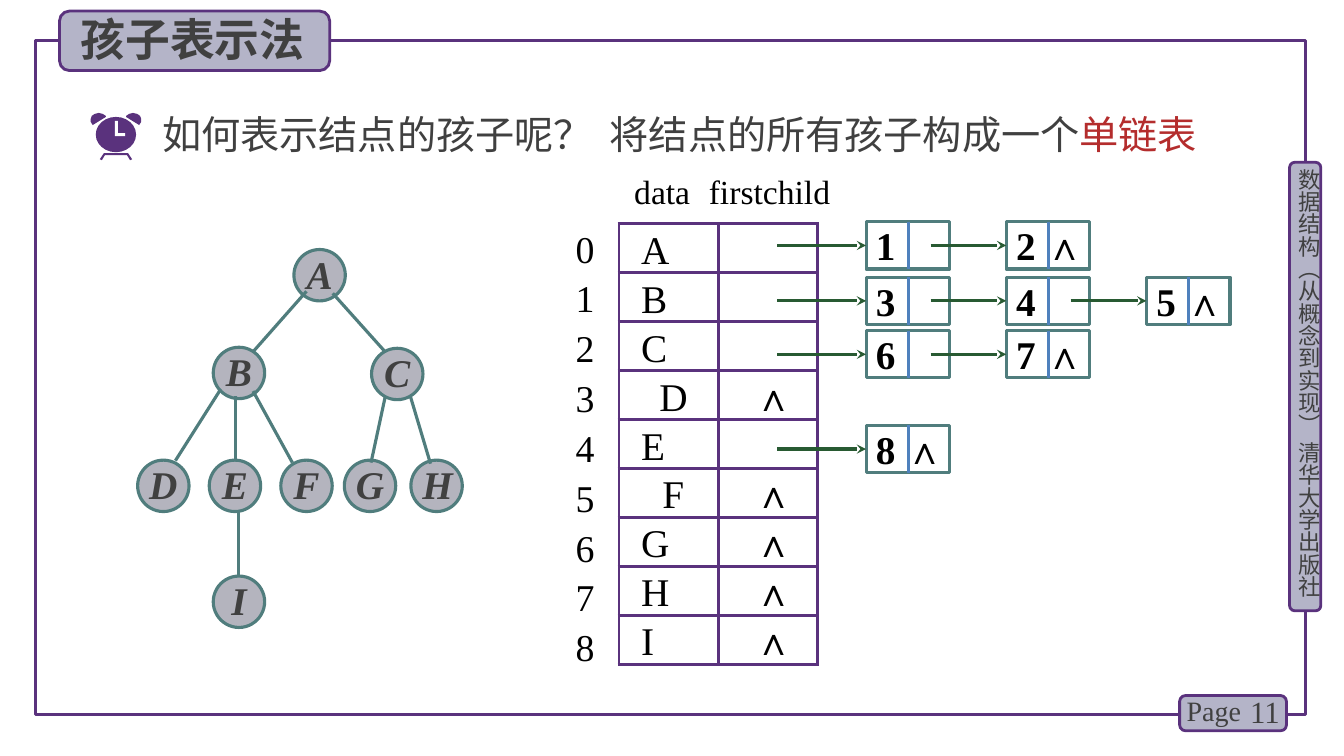
import pptx
import pptx.util
import pptx.dml.color
import pptx.enum.shapes
import pptx.enum.text
import pptx.oxml
import pptx.oxml.ns
from pptx.util import Inches, Pt

PURPLE, TAG_FILL, TEAL = "5A327D", "B4B4C8", "507D7D"
NODE_FILL, GREEN, BLUE = "B4B4BE", "285A32", "4F81BD"
GREY, BLACK, RED, WHITE = "404040", "000000", "B42D2D", "FFFFFF"
SERIF, CJK = "Times New Roman", "Noto Sans CJK SC"
SHAPE = pptx.enum.shapes.MSO_SHAPE
ALIGN = pptx.enum.text.PP_ALIGN
ANCHOR = pptx.enum.text.MSO_ANCHOR

# Tree: node centres, and edges as x1, y1, x2, y2
TREE_NODES = {"A": (3.17, 2.73), "B": (2.37, 3.7), "C": (3.94, 3.71),
              "D": (1.62, 4.82), "E": (2.33, 4.82), "F": (3.04, 4.82),
              "G": (3.67, 4.82), "H": (4.33, 4.82), "I": (2.37, 5.97)}
TREE_EDGES = [(3.04, 2.89, 2.51, 3.49), (3.3, 2.91, 3.82, 3.49),
              (2.19, 3.86, 1.74, 4.57), (2.34, 3.93, 2.34, 4.57),
              (2.51, 3.88, 2.9, 4.59), (3.82, 3.94, 3.68, 4.59),
              (4.07, 3.93, 4.27, 4.6), (2.37, 5.08, 2.37, 5.72)]
# Child lists: top of each row and its entries
CHILD_LISTS = [(2.2, ["1", "2 ∧"]), (2.75, ["3", "4", "5 ∧"]),
               (3.28, ["6", "7 ∧"]), (4.22, ["8 ∧"])]
LEAVES = "DFGHI"
LETTER_INDENT = {"D": 0.3, "F": 0.33}


def rgb(value):
    return pptx.dml.color.RGBColor.from_string(value)


def xml(tag, content="", attributes=""):
    namespace = pptx.oxml.ns.nsdecls("a")
    return pptx.oxml.parse_xml(f"<a:{tag} {namespace} {attributes}>{content}</a:{tag}>")


def style_paragraph(paragraph, size, color=None, font=SERIF, bold=False,
                    italic=False, align=ALIGN.LEFT, spacing=None):
    paragraph.alignment = align
    if spacing:
        paragraph.line_spacing = spacing
    paragraph.font.size = Pt(size)
    paragraph.font.name = font
    paragraph.font.bold = bold
    paragraph.font.italic = italic
    if color:
        paragraph.font.color.rgb = rgb(color)
    if font == CJK:
        defaults = paragraph._p.pPr.find(pptx.oxml.ns.qn("a:defRPr"))
        defaults.append(xml("ea", attributes=f'typeface="{CJK}"'))


def set_insets(frame, left, top, right, bottom):
    frame.margin_left, frame.margin_top = Inches(left), Inches(top)
    frame.margin_right, frame.margin_bottom = Inches(right), Inches(bottom)


def add_text(slide, box, lines, size, color=None, insets=(0.1, 0.05, 0.1, 0.05), **style):
    frame = slide.shapes.add_textbox(*map(Inches, box)).text_frame
    frame.word_wrap = True
    set_insets(frame, *insets)
    frame.text = "\n".join(lines)
    for paragraph in frame.paragraphs:
        style_paragraph(paragraph, size, color, **style)
    return frame


def add_box(slide, kind, box, line, width=2.25, fill=None):
    shape = slide.shapes.add_shape(kind, *map(Inches, box))
    shape.shadow.inherit = False
    shape.line.color.rgb = rgb(line)
    shape.line.width = Pt(width)
    if fill:
        shape.fill.solid()
        shape.fill.fore_color.rgb = rgb(fill)
    else:
        shape.fill.background()
    return shape


def add_line(slide, ends, color, arrow=False):
    line = slide.shapes.add_connector(pptx.enum.shapes.MSO_CONNECTOR.STRAIGHT,
                                      *map(Inches, ends))
    line.line.color.rgb = rgb(color)
    line.line.width = Pt(2.25)
    if arrow:
        line.line._get_or_add_ln().append(xml("tailEnd", attributes='type="stealth"'))
    line._element.spPr.append(xml("effectLst"))
    return line


def add_outline(slide, points, fill):
    builder = slide.shapes.build_freeform(Inches(points[0][0]), Inches(points[0][1]))
    builder.add_line_segments([(Inches(x), Inches(y)) for x, y in points[1:]])
    outline = builder.convert_to_shape()
    outline.shadow.inherit = False
    outline.fill.solid()
    outline.fill.fore_color.rgb = rgb(fill)
    outline.line.fill.background()


def add_clock(slide):
    def mirror(points):
        return [(2.3 - x, y) for x, y in points]

    bell = [(0.92, 1.24), (0.9, 1.21), (0.9, 1.18), (0.91, 1.15), (0.94, 1.13),
            (0.98, 1.12), (1.02, 1.13), (1.05, 1.15), (1.05, 1.16)]
    foot = [(1.04, 1.54), (1.01, 1.59), (0.99, 1.58), (1.03, 1.52)]
    hands = [(1.14, 1.2), (1.17, 1.2), (1.17, 1.32), (1.24, 1.32), (1.24, 1.35), (1.14, 1.35)]
    add_outline(slide, bell, PURPLE)
    add_outline(slide, mirror(bell), PURPLE)
    add_outline(slide, foot + mirror(foot)[::-1], PURPLE)
    face = add_box(slide, SHAPE.OVAL, (0.95, 1.16, 0.4, 0.35), PURPLE, fill=PURPLE)
    face.line.fill.background()
    add_outline(slide, hands, WHITE)


def add_tree(slide):
    size = 0.51
    for letter, (x, y) in TREE_NODES.items():
        node = add_box(slide, SHAPE.OVAL, (x - size / 2, y - size / 2, size, size),
                       TEAL, fill=NODE_FILL)
        frame = node.text_frame
        set_insets(frame, 0.04, 0.02, 0.04, 0.04)
        frame.vertical_anchor = ANCHOR.TOP
        frame.text = letter
        style_paragraph(frame.paragraphs[0], 28, GREY, bold=True, italic=True,
                        align=ALIGN.CENTER, spacing=0.8)
    for edge in TREE_EDGES:
        add_line(slide, edge, TEAL)


def fill_cell(cell, text, indent, bold):
    set_insets(cell, indent, 0, 0, 0)
    cell.vertical_anchor = ANCHOR.BOTTOM
    cell.text = text
    style_paragraph(cell.text_frame.paragraphs[0], 28, BLACK, bold=bold, spacing=Pt(30))
    stroke = f'<a:solidFill><a:srgbClr val="{PURPLE}"/></a:solidFill>'
    for side in ("lnL", "lnR", "lnT", "lnB"):
        cell._tc.get_or_add_tcPr().append(xml(side, stroke, f'w="{Pt(2.25)}"'))
    cell.fill.background()


def add_node_table(slide):
    flat = (0, 0, 0, 0)
    add_text(slide, (6.29, 1.7, 0.65, 0.42), ["data"], 24, BLACK, flat)
    add_text(slide, (7.03, 1.7, 1.38, 0.42), ["firstchild"], 24, BLACK, flat)
    add_text(slide, (5.71, 2.19, 0.2, 4.68), map(str, range(len(TREE_NODES))), 27,
             BLACK, flat, spacing=Pt(35.6))
    table = slide.shapes.add_table(len(TREE_NODES), 2, Inches(6.14), Inches(2.22),
                                   Inches(1.97), Inches(4.37)).table
    table.first_row = table.horz_banding = False
    for row, letter in enumerate(TREE_NODES):
        fill_cell(table.cell(row, 0), letter, 0.22 + LETTER_INDENT.get(letter, 0.12) - 0.12, False)
        fill_cell(table.cell(row, 1), "∧" if letter in LEAVES else "", 0.36, True)


def add_child_list(slide, top, entries):
    width, height, pitch = 0.83, 0.47, 1.39
    middle = top + height / 2
    arrow_start = 7.71
    for index, entry in enumerate(entries):
        left = 8.59 + index * pitch
        child = add_box(slide, SHAPE.RECTANGLE, (left, top, width, height), TEAL)
        frame = child.text_frame
        set_insets(frame, 0.1, 0, 0, 0)
        frame.vertical_anchor = ANCHOR.TOP
        frame.text = entry
        style_paragraph(frame.paragraphs[0], 28, BLACK, bold=True)
        add_line(slide, (left + 0.42, top, left + 0.42, top + height), BLUE)
        arrow = add_line(slide, (arrow_start, middle, left, middle), GREEN, arrow=True)
        arrow.end_connect(child, 1)
        arrow_start = left + 0.64


def add_frame(slide):
    add_box(slide, SHAPE.RECTANGLE, (0.35, 0.4, 12.6, 6.69), PURPLE)
    for tag in [(12.79, 1.61, 0.31, 4.45), (11.7, 6.9, 1.06, 0.35), (0.59, 0.11, 2.68, 0.59)]:
        add_box(slide, SHAPE.ROUNDED_RECTANGLE, tag, PURPLE, 2, TAG_FILL)
    book = add_text(slide, (12.85, 1.67, 0.27, 4.49),
                    ["数据结构（从概念到实现） 清华大学出版社"], 16, GREY, (0, 0, 0, 0), font=CJK)
    book._txBody.bodyPr.set("vert", "eaVert")
    number = add_text(slide, (12.2, 6.86, 0.59, 0.4), ["11"], 22, GREY, align=ALIGN.RIGHT)
    number.vertical_anchor = ANCHOR.MIDDLE
    add_text(slide, (11.67, 6.83, 0.78, 0.44), ["Page"], 20, GREY)
    add_text(slide, (0.7, 0.07, 2.5, 0.64), ["孩子表示法"], 32, GREY, font=CJK, bold=True)


def main():
    presentation = pptx.Presentation()
    presentation.slide_width, presentation.slide_height = Inches(13.33), Inches(7.5)
    slide = presentation.slides.add_slide(presentation.slide_layouts[6])
    add_frame(slide)
    # Question and answer
    add_clock(slide)
    add_text(slide, (1.51, 1.05, 4.73, 0.57), ["如何表示结点的孩子呢？"], 28, GREY, font=CJK)
    answer = add_text(slide, (5.95, 1.05, 6.16, 0.57), [""], 28, font=CJK).paragraphs[0]
    for words, color in [("将结点的所有孩子构成一个", GREY), ("单链表", RED)]:
        run = answer.add_run()
        run.text = words
        run.font.color.rgb = rgb(color)
    # Tree and its child lists
    add_tree(slide)
    add_node_table(slide)
    for top, entries in CHILD_LISTS:
        add_child_list(slide, top, entries)
    presentation.save("out.pptx")


if __name__ == "__main__":
    main()
